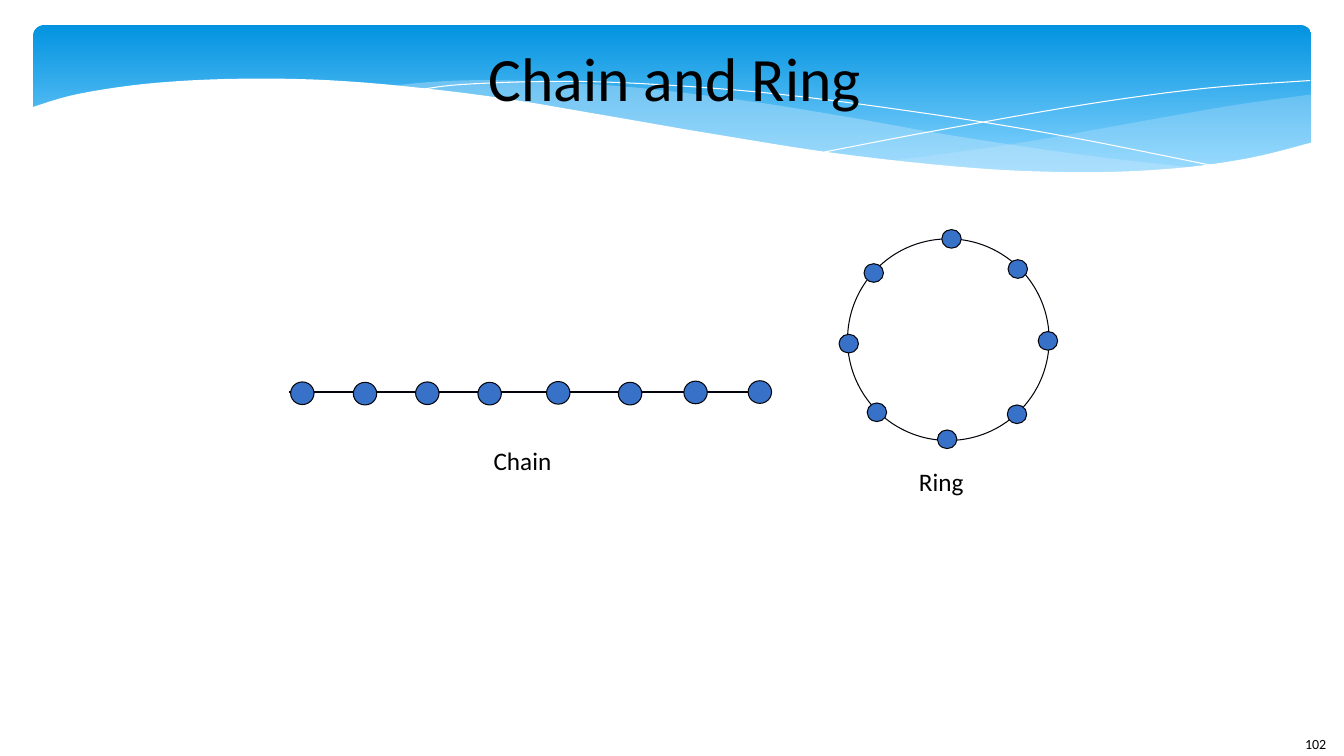
import pptx
import pptx.util
import pptx.dml.color
import pptx.enum.shapes
import pptx.enum.text
import pptx.oxml

Cm = pptx.util.Cm
Pt = pptx.util.Pt
RGBColor = pptx.dml.color.RGBColor
MSO_SHAPE = pptx.enum.shapes.MSO_SHAPE
PP_ALIGN = pptx.enum.text.PP_ALIGN
MSO_ANCHOR = pptx.enum.text.MSO_ANCHOR

SKY_DARK = RGBColor(0x02, 0x93, 0xE0)
SKY_LIGHT = RGBColor(0x83, 0xD3, 0xFE)
MIST = RGBColor(0xC6, 0xE7, 0xFC)
WHITE = RGBColor(0xFF, 0xFF, 0xFF)
BLACK = RGBColor(0, 0, 0)
BEAD_BLUE = RGBColor(0x37, 0x71, 0xC8)
INK = RGBColor(0x03, 0x04, 0x0B)
FONT = "Calibri"
A_NS = 'xmlns:a="http://schemas.openxmlformats.org/drawingml/2006/main"'

RIGHT_WAVE = [
    [(32.21, 1.75), (30.33, 2.01), (28.3, 2.36), (24.69, 3), (21.56, 3.43)],
    [(21.56, 3.43), (23.95, 3.63), (26.37, 3.73), (28.7, 3.66), (30.35, 3.43), (32.21, 2.97)],
]
MIDDLE_WAVE = [
    [(29.39, 3.61), (26.49, 3.28), (23.06, 2.77), (20.47, 2.31), (17.96, 1.91),
     (14.88, 1.55), (12.01, 1.4), (10.26, 1.42), (8.86, 1.55)],
    [(8.86, 1.55), (11.43, 1.83), (14.38, 2.31), (18.34, 3), (21.69, 3.45),
     (24.51, 3.68), (26.85, 3.76), (29.39, 3.61)],
]
FALLING_LINE = [
    [(9.63, 1.65), (10.8, 1.5), (13.26, 1.42), (15.72, 1.5), (18.85, 1.75),
     (22.71, 2.26), (26.09, 2.82), (29.9, 3.58)],
]
RISING_LINE = [
    [(19.94, 3.2), (22.71, 2.67), (26.47, 2.01), (29.49, 1.6), (32.18, 1.4)],
]
PAGE_WAVE = [
    [(32.26, 2.95), (30.66, 3.35), (28.8, 3.61), (26.54, 3.71), (23.77, 3.61),
     (20.35, 3.25), (17.09, 2.74), (14.3, 2.26), (11.51, 1.8), (8.33, 1.45),
     (5.71, 1.35), (3.18, 1.45), (1.17, 1.73), (-0.05, 2.08)],
    [(-0.05, 5.05), (32.26, 5.05)],
]
RING_BEADS = [(4.29, 0.76), (5.05, 2.57), (4.27, 4.42), (0.74, 4.37),
              (0.03, 2.64), (0.66, 0.86), (2.62, 0), (2.51, 5.05)]
CHAIN_BEADS = [(0.33, 0.03), (1.91, 0.04), (3.48, 0.03), (5.05, 0.04),
               (6.78, 0.02), (8.59, 0.04), (10.24, 0.01), (11.86, 0)]


def smooth(knots, steps=6):
    padded = [knots[0], *knots, knots[-1]]
    points = [knots[0]]
    for a, b, c, d in zip(padded, padded[1:], padded[2:], padded[3:]):
        for step in range(1, steps + 1):
            t = step / steps
            points.append(tuple(
                q + 0.5 * t * (r - p + t * (2 * p - 5 * q + 4 * r - w + t * (3 * (q - r) + w - p)))
                for p, q, r, w in zip(a, b, c, d)))
    return points


def add_wave(s, left, top, curves, fill=None, opacity=100):
    points = [(Cm(left + x), Cm(top + y)) for curve in curves for x, y in smooth(curve)]
    builder = s.shapes.build_freeform(*points[0])
    builder.add_line_segments(points[1:], close=fill is not None)
    sp = builder.convert_to_shape()
    sp.shadow.inherit = False
    if fill is None:
        sp.fill.background()
        sp.line.color.rgb = WHITE
        sp.line.width = Pt(0)
        return
    sp.line.fill.background()
    sp.fill.solid()
    sp.fill.fore_color.rgb = fill
    if opacity < 100:
        color = sp.fill._xPr.solidFill[0]
        color.append(pptx.oxml.parse_xml(f'<a:alpha {A_NS} val="{opacity * 1000}"/>'))


def add_header(s, left, top, width, height):
    sp = s.shapes.add_shape(MSO_SHAPE.ROUNDED_RECTANGLE, Cm(left), Cm(top), Cm(width), Cm(height))
    sp.adjustments[0] = 0.07
    sp.shadow.inherit = False
    sp.line.fill.background()
    sp.fill.gradient()
    sp.fill.gradient_angle = 270
    for stop, color, position in zip(sp.fill.gradient_stops, (SKY_DARK, SKY_LIGHT), (0, 0.9)):
        stop.color.rgb = color
        stop.position = position
    add_wave(s, left, top, RIGHT_WAVE, MIST, 29)
    add_wave(s, left, top, MIDDLE_WAVE, MIST, 40)
    add_wave(s, left, top, FALLING_LINE)
    add_wave(s, left, top, RISING_LINE)
    add_wave(s, left, top, PAGE_WAVE, WHITE)


def add_title(s, left, top, width, height):
    sp = s.shapes.title
    sp.element.getparent().append(sp.element)
    sp.left, sp.top, sp.width, sp.height = Cm(left), Cm(top), Cm(width), Cm(height)
    tf = sp.text_frame
    tf.margin_left = tf.margin_right = tf.margin_top = tf.margin_bottom = 0
    tf.vertical_anchor = MSO_ANCHOR.MIDDLE
    tf.text = "Chain and Ring"
    p = tf.paragraphs[0]
    p.alignment = PP_ALIGN.CENTER
    style(p, 44)


def style(p, size):
    p.font.name = FONT
    p.font.size = Pt(size)
    p.font.color.rgb = BLACK


def add_label(s, left, top, width, height, text, size):
    tf = s.shapes.add_textbox(Cm(left), Cm(top), Cm(width), Cm(height)).text_frame
    tf.word_wrap = True
    p = tf.paragraphs[0]
    p.text = text
    style(p, size)


def add_oval(s, left, top, width, height, fill=None):
    sp = s.shapes.add_shape(MSO_SHAPE.OVAL, Cm(left), Cm(top), Cm(width), Cm(height))
    sp.shadow.inherit = False
    sp.line.color.rgb = INK
    sp.line.width = Pt(0)
    if fill is None:
        sp.fill.background()
    else:
        sp.fill.solid()
        sp.fill.fore_color.rgb = fill


def add_beads(s, left, top, centers, width, height):
    for x, y in centers:
        add_oval(s, left + x - width / 2, top + y - height / 2, width, height, BEAD_BLUE)


def add_ring(s, left, top, size):
    add_oval(s, left, top, size, size)
    add_beads(s, left, top, RING_BEADS, 0.49, 0.47)
    add_label(s, left + 1.55, top + 5.61, 5.92, 1.02, "Ring", 18)


def add_chain(s, left, top, width):
    line = s.shapes.add_connector(pptx.enum.shapes.MSO_CONNECTOR.STRAIGHT,
                                  Cm(left), Cm(top), Cm(left + width), Cm(top))
    line.line.color.rgb = INK
    line.line.width = Pt(0)
    line.element.spPr.append(pptx.oxml.parse_xml(f"<a:effectLst {A_NS}/>"))
    add_beads(s, left, top, CHAIN_BEADS, 0.59, 0.57)
    add_label(s, left + 4.9, top + 1.22, 5.92, 1.02, "Chain", 18)


def main():
    prs = pptx.Presentation()
    prs.slide_width = Cm(33.87)
    prs.slide_height = Cm(19.05)
    s = prs.slides.add_slide(prs.slide_layouts[5])
    add_header(s, 0.84, 0.63, 32.21, 3.96)
    add_title(s, 6.71, 0.63, 20.6, 2.6)
    add_ring(s, 21.36, 6.02, 5.08)
    add_chain(s, 7.29, 9.88, 12.01)
    add_label(s, 32.64, 18.42, 1.23, 0.63, "102", 10)
    prs.save("out.pptx")


if __name__ == "__main__":
    main()
